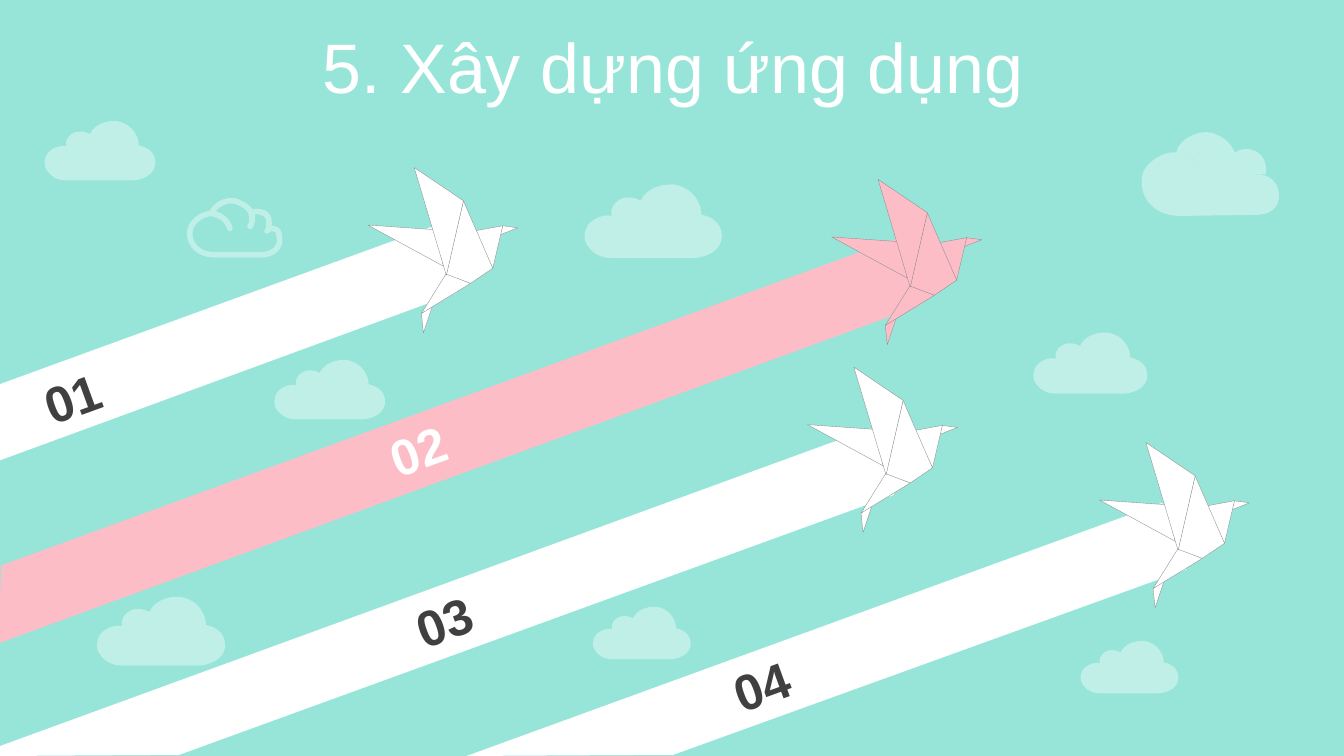
"""Build the slide "5. Xây dựng ứng dụng": four origami birds trailing numbered stripes."""
from math import cos, radians, sin

from lxml.etree import SubElement
from pptx import Presentation
from pptx.dml.color import RGBColor
from pptx.enum.text import MSO_ANCHOR, PP_ALIGN
from pptx.oxml.ns import qn
from pptx.util import Cm, Pt

SKY = RGBColor(0x96, 0xE5, 0xD8)
WHITE = RGBColor(0xFF, 0xFF, 0xFF)
PINK = RGBColor(0xFD, 0xBD, 0xC7)
CREASE = RGBColor(0x8F, 0x8F, 0x8F)
DARK = RGBColor(0x40, 0x40, 0x40)
STRIPE_ANGLE = 340
BIRD_ANGLE = 337.9


def add_outline(shapes, points, angle=0):
    """Add a closed outline whose points, in cm, hold after a turn by angle."""
    c, s = cos(radians(angle)), sin(radians(angle))
    level = [(x * c + y * s, y * c - x * s) for x, y in points]
    xs, ys = zip(*level)
    mid_x, mid_y = (min(xs) + max(xs)) / 2, (min(ys) + max(ys)) / 2
    dx = mid_x * c - mid_y * s - mid_x
    dy = mid_x * s + mid_y * c - mid_y
    corners = [(Cm(x + dx), Cm(y + dy)) for x, y in level]
    builder = shapes.build_freeform(*corners[0])
    builder.add_line_segments(corners[1:], close=True)
    outline = builder.convert_to_shape()
    outline.rotation = angle
    outline.shadow.inherit = False
    return outline


def add_cloud(shapes, left, top, width, knots):
    """Add a cloud of cubic curves; knots holds a start and three points per curve."""
    unit = width / max(x for x, y in knots)
    cloud = add_outline(shapes, [(left + x * unit, top + y * unit) for x, y in knots])
    contour = next(cloud._element.iter(qn("a:path")))
    closing = contour.find(qn("a:close"))
    sides = contour.findall(qn("a:lnTo"))
    for first in range(0, len(sides), 3):
        curve = SubElement(contour, qn("a:cubicBezTo"))
        for side in sides[first:first + 3]:
            curve.append(side[0])
            contour.remove(side)
    contour.append(closing)
    return cloud


presentation = Presentation()
presentation.slide_width = Cm(33.87)
presentation.slide_height = Cm(19.05)
slide = presentation.slides.add_slide(presentation.slide_layouts[6])
slide.background.fill.solid()
slide.background.fill.fore_color.rgb = SKY

SMALL_CLOUD = [
    (85, 0), (87, 0), (88, 0), (89, 0), (110, 4), (116, 21), (116, 30),
    (136, 34), (137, 48), (136, 55), (133, 69), (115, 73), (108, 73),
    (108, 73), (27, 73), (27, 73), (17, 73), (9, 69), (4, 62),
    (-2, 55), (0, 46), (3, 41), (5, 37), (15, 29), (27, 31),
    (25, 25), (29, 18), (35, 15), (42, 11), (50, 13), (56, 16),
    (58, 10), (68, 0), (85, 0),
]
BIG_CLOUD = [
    (38, 83), (38, 83), (112, 82), (112, 82), (133, 82), (138, 69), (135, 57),
    (131, 41), (112, 39), (106, 45), (109, 41), (118, 41), (122, 42),
    (125, 39), (122, 26), (117, 22), (112, 17), (102, 14), (92, 20),
    (94, 28), (94, 39), (89, 48), (97, 34), (97, 10), (70, 1),
    (57, -3), (37, 6), (34, 20), (44, 22), (56, 25), (61, 43),
    (58, 32), (49, 22), (33, 20), (20, 19), (5, 30), (1, 40),
    (-5, 61), (9, 83), (38, 83),
]
HOLLOW_CLOUD = [
    (25, 54), (25, 54), (73, 54), (73, 54), (86, 53), (91, 43), (89, 37),
    (89, 30), (87, 29), (83, 28), (78, 26), (75, 33), (78, 29),
    (79, 26), (80, 17), (76, 14), (73, 12), (67, 9), (61, 13),
    (62, 18), (63, 20), (60, 26), (65, 17), (63, 7), (46, 1),
    (37, -2), (24, 5), (22, 13), (29, 15), (37, 17), (40, 28),
    (38, 21), (32, 14), (22, 13), (13, 13), (4, 20), (1, 27),
    (-3, 40), (6, 54), (25, 54),
]
small_clouds = [
    (2.44, 15.04, 3.25), (14.73, 4.65, 3.48), (1.12, 3.05, 2.81), (26.04, 8.38, 2.89),
    (27.23, 16.15, 2.48), (6.91, 9.07, 2.81), (14.94, 15.29, 2.48),
]
solid_clouds = [add_cloud(slide.shapes, left, top, width, SMALL_CLOUD)
                for left, top, width in small_clouds]
solid_clouds.append(add_cloud(slide.shapes, 28.78, 3.33, 3.51, BIG_CLOUD))
for cloud in solid_clouds:
    cloud.fill.solid()
    cloud.fill.fore_color.rgb = WHITE
    cloud.line.fill.background()

hollow_cloud = add_cloud(slide.shapes, 4.78, 5.05, 2.31, HOLLOW_CLOUD)
hollow_cloud.fill.background()
hollow_cloud.line.color.rgb = WHITE
hollow_cloud.line.width = Pt(4)
for cloud in solid_clouds + [hollow_cloud]:
    for tint in cloud._element.spPr.iter(qn("a:srgbClr")):
        SubElement(tint, qn("a:alpha"), val="40000")

title = slide.shapes.add_textbox(Cm(0.89), Cm(0.79), Cm(32.16), Cm(2.01)).text_frame
title.word_wrap = True
title.vertical_anchor = MSO_ANCHOR.MIDDLE
heading = title.paragraphs[0]
heading.alignment = PP_ALIGN.CENTER
heading.line_spacing = 0.9
heading_run = heading.add_run()
heading_run.text = "5. Xây dựng ứng dụng"
heading_run.font.name = "Arial"
heading_run.font.size = Pt(50)
heading_run.font.color.rgb = WHITE

BIRD_FOLDS = [
    [(1.63, 3.48), (1.4, 4.17), (1.35, 3.68)],
    [(1.35, 3.68), (1.98, 2.67), (2.59, 2.92)],
    [(3.4, 1.47), (3.78, 1.52), (3.33, 1.7)],
    [(2.69, 1.6), (3.4, 1.47), (3.15, 2.54)],
    [(0, 1.45), (1.7, 1.57), (1.91, 2.49)],
    [(2.59, 2.92), (3.15, 2.54), (2.41, 0.84), (1.98, 2.69)],
    [(2.41, 0.84), (1.17, 0), (1.98, 2.72)],
]
flights = [
    ("01", WHITE, DARK, (9.27, 4.22), (0.46, 9.12),
     [(10.87, 5.72), (11.48, 7.39), (-0.03, 11.61), (0, 9.68)]),
    ("02", PINK, WHITE, (20.96, 4.52), (9.17, 10.44),
     [(22.58, 6.02), (23.19, 7.7), (-0.03, 16.21), (0.03, 14.25)]),
    ("03", WHITE, DARK, (20.35, 9.25), (9.83, 14.76),
     [(21.92, 10.8), (22.53, 12.47), (4.52, 19.02), (-0.03, 19.05), (0, 18.8)]),
    ("04", WHITE, DARK, (27.71, 11.15), (17.83, 16.38),
     [(29.29, 12.67), (29.9, 14.35), (16.97, 19.02), (11.76, 19.05)]),
]
for number, paper, ink, (bird_left, bird_top), (number_left, number_top), stripe_corners in flights:
    stripe = add_outline(slide.shapes, stripe_corners, STRIPE_ANGLE)
    stripe.fill.solid()
    stripe.fill.fore_color.rgb = paper
    stripe.line.fill.background()

    bird = slide.shapes.add_group_shape()
    for corners in BIRD_FOLDS:
        fold = add_outline(bird.shapes, [(bird_left + x, bird_top + y) for x, y in corners], BIRD_ANGLE)
        fold.fill.solid()
        fold.fill.fore_color.rgb = paper
        fold.line.color.rgb = CREASE
        fold.line.width = Pt(0.25)

    number_box = slide.shapes.add_textbox(Cm(number_left), Cm(number_top), Cm(2.72), Cm(1.8))
    number_box.rotation = STRIPE_ANGLE
    number_frame = number_box.text_frame
    number_frame.word_wrap = True
    number_frame.margin_left = number_frame.margin_right = Cm(0.3)
    number_line = number_frame.paragraphs[0]
    number_line.alignment = PP_ALIGN.CENTER
    number_run = number_line.add_run()
    number_run.text = number
    number_run.font.name = "Arial"
    number_run.font.size = Pt(36)
    number_run.font.bold = True
    number_run.font.color.rgb = ink

presentation.save("out.pptx")
